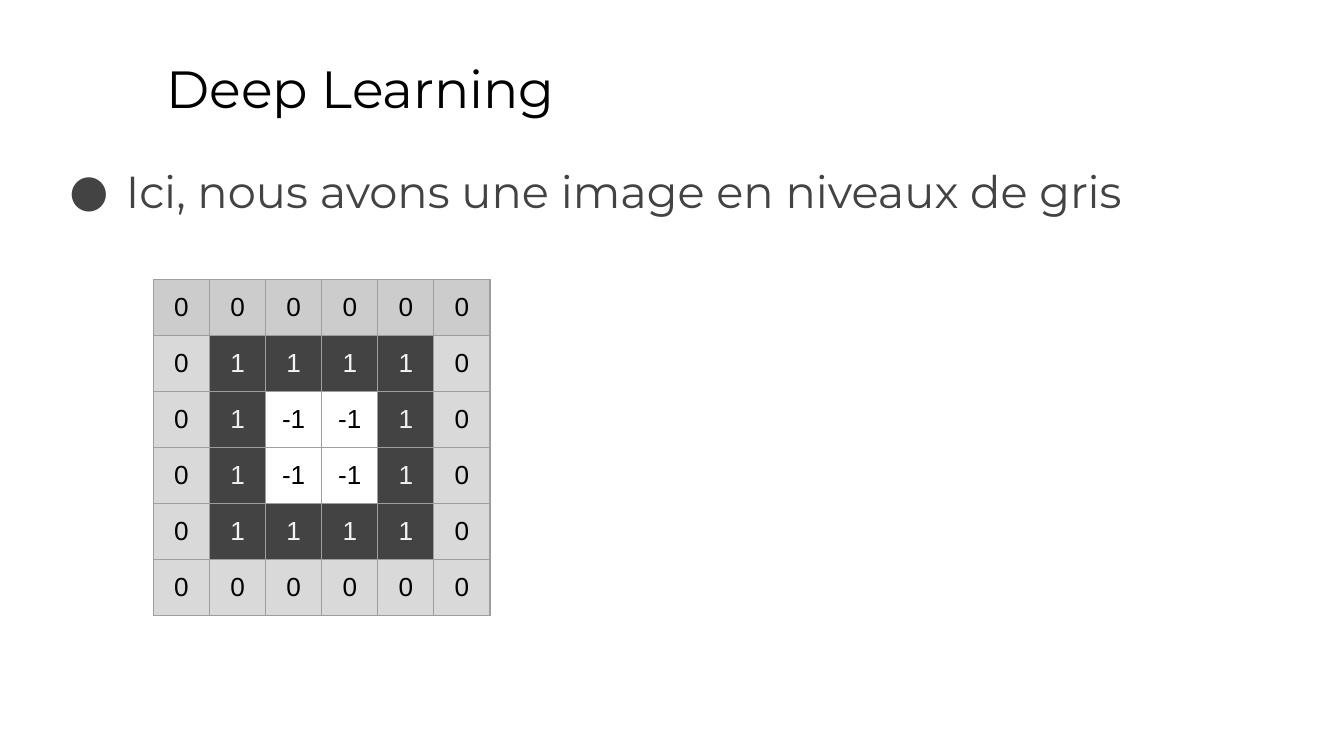
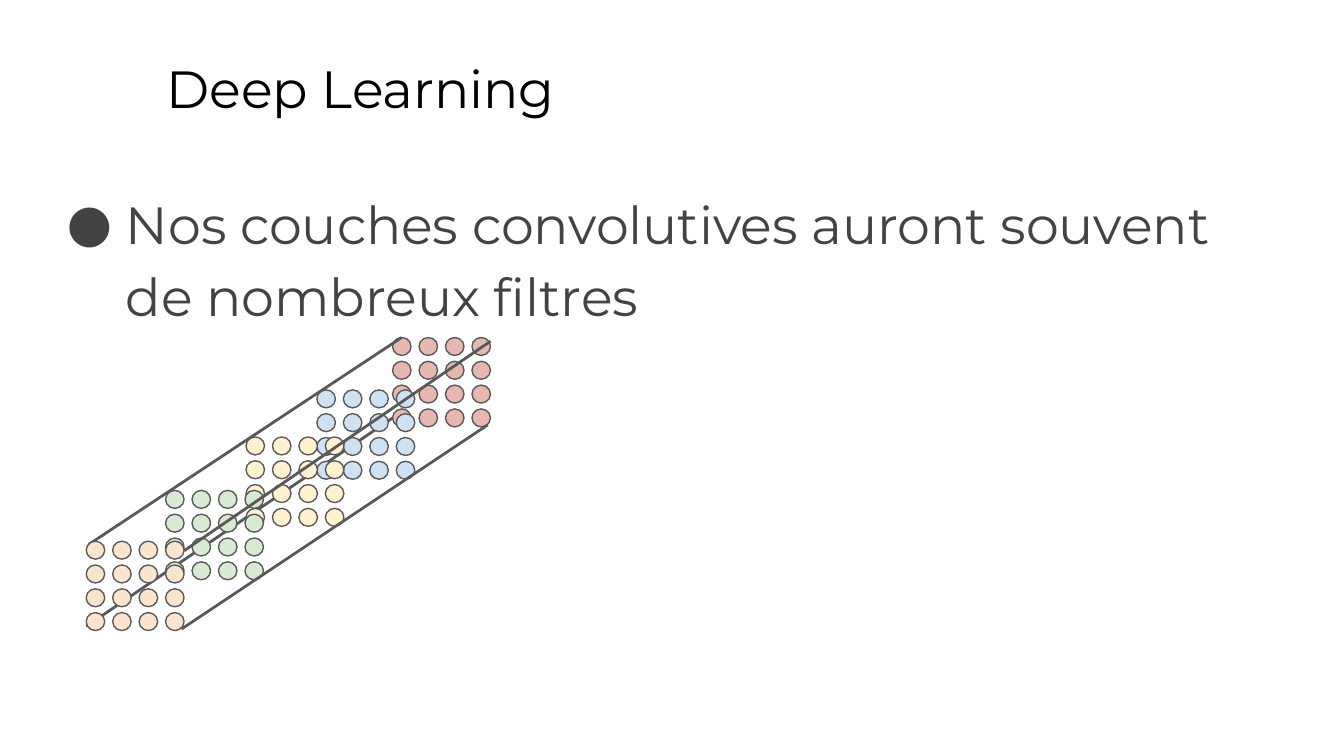
import pptx
import pptx.util
import pptx.dml.color
import pptx.enum.shapes
import pptx.enum.text
import pptx.oxml
import pptx.oxml.ns
from pptx.util import Cm


class Theme:
    font, plain = "Montserrat", "Arial"
    black, dark, line, grid = "000000", "434343", "595959", "9E9E9E"
    head, pale = "CCCCCC", "D9D9D9"
    light, dim = "F3F3F3", "EFEFEF"
    red, blue, gold, green, peach = "E6B8AF", "CFE2F3", "FFF2CC", "D9EAD3", "FCE5CD"
    title, cell = 28, 14
    thin, thick = 0.75, 1.5


rgb = pptx.dml.color.RGBColor.from_string
ns = pptx.oxml.ns.nsdecls("a")


def write(para, text, size, color, font=Theme.font):
    run = para.add_run()
    run.text = text
    run.font.size = pptx.util.Pt(size)
    run.font.name = font
    run.font.color.rgb = rgb(color)


def edge(slide, x1, y1, x2, y2):
    kind = pptx.enum.shapes.MSO_CONNECTOR.STRAIGHT
    rule = slide.shapes.add_connector(kind, Cm(x1), Cm(y1), Cm(x2), Cm(y2))
    rule.line.color.rgb = rgb(Theme.line)
    rule.line.width = pptx.util.Pt(Theme.thick)
    rule._element.spPr.append(pptx.oxml.parse_xml(f"<a:effectLst {ns}/>"))


deck = pptx.Presentation()
deck.slide_width, deck.slide_height = Cm(25.4), Cm(14.29)

# Title and bullet of each slide: text, top, height, size, hanging indent
points = [
    ("Ici, nous avons une image en niveaux de gris", 2.69, 1.73, 24, 1.07),
    ("Nos couches convolutives auront souvent de nombreux filtres", 3.2, 2.9, 28, 1.12),
]
for text, top, high, size, hang in points:
    slide = deck.slides.add_slide(deck.slide_layouts[5])
    title = slide.shapes.title
    title.left, title.top, title.width, title.height = Cm(2.9), Cm(0.81), Cm(21.64), Cm(1.6)
    body = slide.shapes.add_textbox(Cm(0.86), Cm(top), Cm(23.67), Cm(high))
    for frame in (title.text_frame, body.text_frame):
        frame.word_wrap = True
        frame.auto_size = pptx.enum.text.MSO_AUTO_SIZE.NONE
        frame.vertical_anchor = pptx.enum.text.MSO_ANCHOR.TOP
        frame.margin_left = frame.margin_right = Cm(0.25)
        frame.margin_top = frame.margin_bottom = Cm(0.25)
        frame.paragraphs[0].alignment = pptx.enum.text.PP_ALIGN.LEFT
    write(title.text_frame.paragraphs[0], "Deep Learning", Theme.title, Theme.black)

    para = body.text_frame.paragraphs[0]
    para.line_spacing = 1.15
    props = para._p.get_or_add_pPr()
    props.set("marL", str(Cm(1.27)))
    props.set("indent", str(-Cm(hang)))
    for mark in (
        f'<a:buClr {ns}><a:srgbClr val="{Theme.dark}"/></a:buClr>',
        f'<a:buFont {ns} typeface="{Theme.font}"/>',
        f'<a:buChar {ns} char="●"/>',
    ):
        props.append(pptx.oxml.parse_xml(mark))
    write(para, text, size, Theme.dark)

# Slide 1: pixel grid, in rings from the outside in
gray, layers = deck.slides
count, side = 6, 1.06
shape = gray.shapes.add_table(count, count, Cm(2.9), Cm(5.28), Cm(count * side), Cm(count * side))
table = shape.table
table.first_row = table.horz_banding = False
for i in range(count):
    table.columns[i].width = table.rows[i].height = Cm(side)
for row in range(count):
    for col in range(count):
        cell = table.cell(row, col)
        cell.margin_left = cell.margin_right = Cm(0.25)
        cell.margin_top = cell.margin_bottom = Cm(0.25)
        props = cell._tc.get_or_add_tcPr()
        for tag in ("lnL", "lnR", "lnT", "lnB"):
            props.append(pptx.oxml.parse_xml(
                f'<a:{tag} {ns} w="{pptx.util.Pt(Theme.thin)}"><a:solidFill>'
                f'<a:srgbClr val="{Theme.grid}"/></a:solidFill></a:{tag}>'))
        ring = min(row, col, count - 1 - row, count - 1 - col)
        ink = Theme.black
        if ring == 2:
            cell.fill.background()
        else:
            cell.fill.solid()
            fill = Theme.dark if ring else Theme.pale if row else Theme.head
            cell.fill.fore_color.rgb = rgb(fill)
        if ring == 1:
            ink = Theme.light if row in (1, 4) else Theme.dim
        para = cell.text_frame.paragraphs[0]
        para.alignment = pptx.enum.text.PP_ALIGN.CENTER
        write(para, ("0", "1", "-1")[ring], Theme.cell, ink, Theme.plain)

# Slide 2: stacked filters from back to front, with the edges of the stack
edge(layers, 7.42, 7.9, 1.63, 11.84)
filters = [
    (Theme.red, 7.42, 6.38),
    (Theme.blue, 5.99, 7.37),
    (Theme.gold, 4.65, 8.26),
    (Theme.green, 3.13, 9.27),
    (Theme.peach, 1.63, 10.23),
]
for color, left, top in filters:
    if color == Theme.gold:
        edge(layers, 7.59, 6.38, 1.68, 10.29)
    for row in range(4):
        for col in range(4):
            dot = layers.shapes.add_shape(
                pptx.enum.shapes.MSO_SHAPE.OVAL,
                Cm(left + 0.5 * col), Cm(top + 0.45 * row), Cm(0.35), Cm(0.34))
            dot.shadow.inherit = False
            dot.fill.solid()
            dot.fill.fore_color.rgb = rgb(color)
            dot.line.color.rgb = rgb(Theme.line)
            dot.line.width = pptx.util.Pt(Theme.thin)
edge(layers, 9.27, 6.45, 3.48, 10.41)
edge(layers, 9.22, 8.03, 3.43, 11.89)

deck.save("out.pptx")
